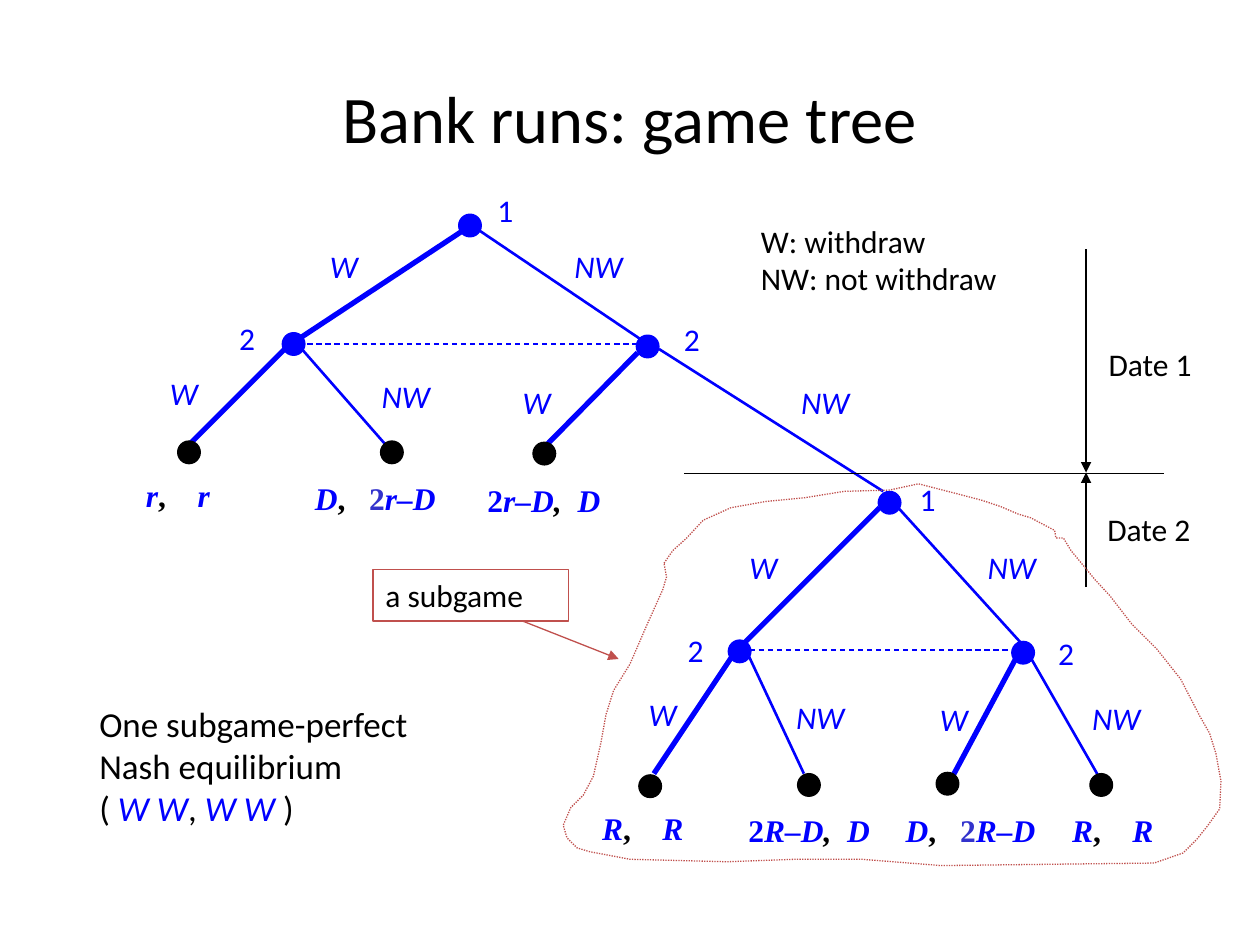
from lxml.etree import SubElement
from pptx import Presentation
from pptx.dml.color import RGBColor
from pptx.enum.dml import MSO_LINE_DASH_STYLE as Dash
from pptx.enum.shapes import MSO_AUTO_SHAPE_TYPE as Preset, MSO_CONNECTOR_TYPE as Link
from pptx.enum.text import MSO_ANCHOR as Anchor, MSO_AUTO_SIZE as Fit, PP_ALIGN as Align
from pptx.oxml.ns import qn
from pptx.util import Cm, Pt

BLACK = RGBColor(0x00, 0x00, 0x00)
BLUE = RGBColor(0x00, 0x00, 0xFF)
INDIGO = RGBColor(0x33, 0x33, 0xCC)
RED = RGBColor(0xC0, 0x50, 0x4D)

DOT = 0.18
LABEL_HEIGHT = 0.4
THICK, MEDIUM, THIN = 3, 1.5, 0.75


def length(units):
    """Positions are on a grid of 2.54 cm."""
    return Cm(units * 2.54)


def write(para, text, font="Calibri", size=18, color=BLACK, bold=False, italic=False, gap=0):
    """Add text to a paragraph; gap is extra letter spacing in points."""
    for index, part in enumerate(text.split("\n")):
        if index:
            para.add_line_break()
        span = para.add_run()
        span.text = part
        span.font.name = font
        span.font.size = Pt(size)
        span.font.bold = bold
        span.font.italic = italic
        span.font.color.rgb = color
        if gap:
            span.font._element.set("spc", str(round(gap * 100)))


class TreePage:
    def __init__(self, page):
        self.page = page

    def prepare(self, frame, anchor=Anchor.TOP, align=Align.LEFT, fit=Fit.SHAPE_TO_FIT_TEXT):
        frame.word_wrap = True
        frame.auto_size = fit
        frame.vertical_anchor = anchor
        para = frame.paragraphs[0]
        para.alignment = align
        return para

    def textbox(self, left, top, width, height=LABEL_HEIGHT, **layout):
        box = self.page.shapes.add_textbox(*map(length, (left, top, width, height)))
        return self.prepare(box.text_frame, **layout)

    def label(self, text, left, top, width, align=Align.LEFT, **style):
        write(self.textbox(left, top, width, align=align), text, **style)

    def shape(self, preset, left, top, width, height, line, fill=None):
        shape = self.page.shapes.add_shape(preset, *map(length, (left, top, width, height)))
        self.outline(shape, line, fill)
        return shape

    def outline(self, shape, line, fill=None):
        shape.shadow.inherit = False
        if fill is None:
            shape.fill.background()
        else:
            shape.fill.solid()
            shape.fill.fore_color.rgb = fill
        shape.line.color.rgb = line
        shape.line.width = Pt(THIN)

    def node(self, left, top, color):
        self.shape(Preset.OVAL, left, top, DOT, DOT, color, color)

    def line(self, x1, y1, x2, y2, color=BLUE, weight=THIN, dash=None, arrow=False):
        line = self.page.shapes.add_connector(Link.STRAIGHT, *map(length, (x1, y1, x2, y2)))
        line.line.color.rgb = color
        line.line.width = Pt(weight)
        if dash:
            line.line.dash_style = dash
        if arrow:
            SubElement(line.line._get_or_add_ln(), qn("a:tailEnd"), type="triangle")
        SubElement(line._element.spPr, qn("a:effectLst"))

    def outline_area(self, points, color):
        corners = [(length(x), length(y)) for x, y in points]
        builder = self.page.shapes.build_freeform(*corners[0])
        builder.add_line_segments(corners[1:], close=True)
        area = builder.convert_to_shape()
        self.outline(area, color)
        area.line.dash_style = Dash.ROUND_DOT

    def payoff(self, first, second, spaces, left, top, width):
        para = self.textbox(left, top, width)
        style = dict(font="Times New Roman", bold=True)

        def amount(text, digit_color):
            if text.startswith("2"):
                write(para, "2", color=digit_color, **style)
                text = text[1:]
            write(para, text, color=BLUE, italic=True, **style)

        amount(first, BLUE)
        # A space is 4.5 pt wide; the surplus is shared by comma and space
        write(para, ", ", italic=first.startswith("2"), gap=(spaces - 1) * 2.25, **style)
        amount(second, INDIGO)


DECISIONS = [(3.64, 1.7), (2.24, 2.64), (5.05, 2.66), (6.97, 3.9), (5.78, 5.08), (8.03, 5.09)]
ENDS = [(1.41, 3.5), (3.02, 3.5), (4.23, 3.51), (5.07, 6.15), (6.33, 6.14), (7.43, 6.13), (8.65, 6.14)]
WITHDRAW = [
    (3.66, 1.84, 2.31, 2.73), (2.26, 2.77, 1.49, 3.54), (5.06, 2.8, 4.29, 3.58),
    (6.98, 4.03, 5.9, 5.11), (5.81, 5.21, 5.19, 6.14), (8.06, 5.23, 7.54, 6.2),
]
KEEP = [
    (3.79, 1.82, 5.11, 2.71), (2.36, 2.73, 3.07, 3.54), (5.23, 2.77, 7.01, 3.9),
    (7.12, 4.02, 8.11, 5.11), (5.94, 5.2, 6.38, 6.14), (8.18, 5.22, 8.73, 6.18),
]
INFORMATION_SETS = [(2.44, 2.73, 5.07, 2.73), (5.95, 5.16, 8.06, 5.16)]
PLAYERS = [
    ("1", 3.85, 1.47, 0.46), ("2", 1.8, 2.48, 0.46), ("2", 5.33, 2.49, 0.46),
    ("1", 7.2, 3.76, 0.41), ("2", 5.36, 4.96, 0.31), ("2", 8.3, 4.98, 0.31),
]
MOVES = [
    ("W", 2.52, 1.91, 0.49), ("NW", 4.46, 1.91, 0.73), ("W", 1.25, 2.92, 0.44),
    ("NW", 2.93, 2.94, 0.72), ("W", 4.05, 2.99, 0.49), ("NW", 6.26, 2.99, 0.79),
    ("W", 5.85, 4.3, 0.44), ("NW", 7.74, 4.3, 0.72), ("W", 5.05, 5.47, 0.47),
    ("NW", 6.22, 5.49, 0.76), ("W", 7.31, 5.51, 0.47, Align.RIGHT), ("NW", 8.57, 5.5, 0.7),
]
PAYOFFS = [
    ("r", "r", 4, 1.06, 3.73, 0.74), ("D", "2r–D", 3, 2.4, 3.75, 1.21),
    ("2r–D", "D", 2, 3.77, 3.77, 1.21), ("R", "R", 4, 4.68, 6.37, 0.91),
    ("2R–D", "D", 2, 5.84, 6.39, 1.21), ("D", "2R–D", 3, 7.09, 6.39, 1.4),
    ("R", "R", 4, 8.41, 6.39, 0.91),
]
SUBGAME = [
    (5.27, 4.47), (5.34, 4.37), (5.45, 4.27), (5.58, 4.13), (5.8, 4.03), (6.08, 3.98),
    (6.39, 3.95), (6.7, 3.9), (7.06, 3.89), (7.29, 3.84), (7.6, 3.92), (7.79, 3.97),
    (7.94, 4.02), (8.08, 4.08), (8.18, 4.11), (8.37, 4.21), (8.38, 4.27), (8.44, 4.27),
    (8.5, 4.37), (8.69, 4.6), (8.81, 4.73), (8.98, 4.95), (9.18, 5.15), (9.37, 5.39),
    (9.52, 5.68), (9.6, 5.82), (9.65, 5.98), (9.69, 6.2), (9.68, 6.42), (9.58, 6.56),
    (9.5, 6.66), (9.39, 6.77), (9.16, 6.85), (8.32, 6.86), (7.47, 6.87), (6.84, 6.82),
    (6.31, 6.82), (5.77, 6.84), (5, 6.82), (4.68, 6.76), (4.58, 6.73), (4.5, 6.65),
    (4.47, 6.55), (4.53, 6.41), (4.63, 6.31), (4.71, 6.16), (4.77, 5.89), (4.81, 5.67),
    (4.87, 5.48), (5, 5.27), (5.13, 4.97), (5.26, 4.68), (5.29, 4.58),
]


def main():
    deck = Presentation()
    deck.slide_width, deck.slide_height = Cm(25.4), Cm(19.05)
    tree = TreePage(deck.slides.add_slide(deck.slide_layouts[6]))

    # Title
    para = tree.textbox(0.5, 0.3, 9, 1.25, anchor=Anchor.MIDDLE, align=Align.CENTER, fit=Fit.NONE)
    write(para, "Bank runs: game tree", size=38)

    # Branches and nodes
    for ends in WITHDRAW:
        tree.line(*ends, weight=THICK)
    for ends in KEEP:
        tree.line(*ends, weight=MEDIUM)
    for ends in INFORMATION_SETS:
        tree.line(*ends, dash=Dash.DASH)
    for color, places in ((BLUE, DECISIONS), (BLACK, ENDS)):
        for place in places:
            tree.node(*place, color)

    # Players, moves and payoffs
    for player in PLAYERS:
        tree.label(*player, color=BLUE)
    for move in MOVES:
        tree.label(*move, color=BLUE, italic=True)
    for payoff in PAYOFFS:
        tree.payoff(*payoff)

    # Dates
    tree.line(5.43, 3.76, 9.24, 3.76, color=BLACK)
    tree.line(8.62, 1.98, 8.62, 3.75, color=BLACK, arrow=True)
    tree.line(8.62, 4.66, 8.62, 3.75, color=BLACK, arrow=True)
    tree.label("Date 1", 8.7, 2.69, 1)
    tree.label("Date 2", 8.69, 4, 1)

    # Legend and equilibrium
    write(tree.textbox(5.94, 1.71, 2.44, 0.7), "W: withdraw\nNW: not withdraw")
    para = tree.textbox(0.69, 5.53, 3.06, 1.1)
    write(para, "One subgame-perfect Nash equilibrium\n( ", size=20)
    for closing in (", ", " )"):
        write(para, "W W", size=20, color=BLUE, italic=True)
        write(para, closing, size=20)

    # Subgame
    callout = tree.shape(Preset.RECTANGLE, 2.96, 4.52, 1.55, 0.41, RED)
    write(tree.prepare(callout.text_frame), "a subgame")
    tree.line(4.15, 4.93, 4.91, 5.23, color=RED, arrow=True)
    tree.outline_area(SUBGAME, RED)

    deck.save("out.pptx")


if __name__ == "__main__":
    main()
